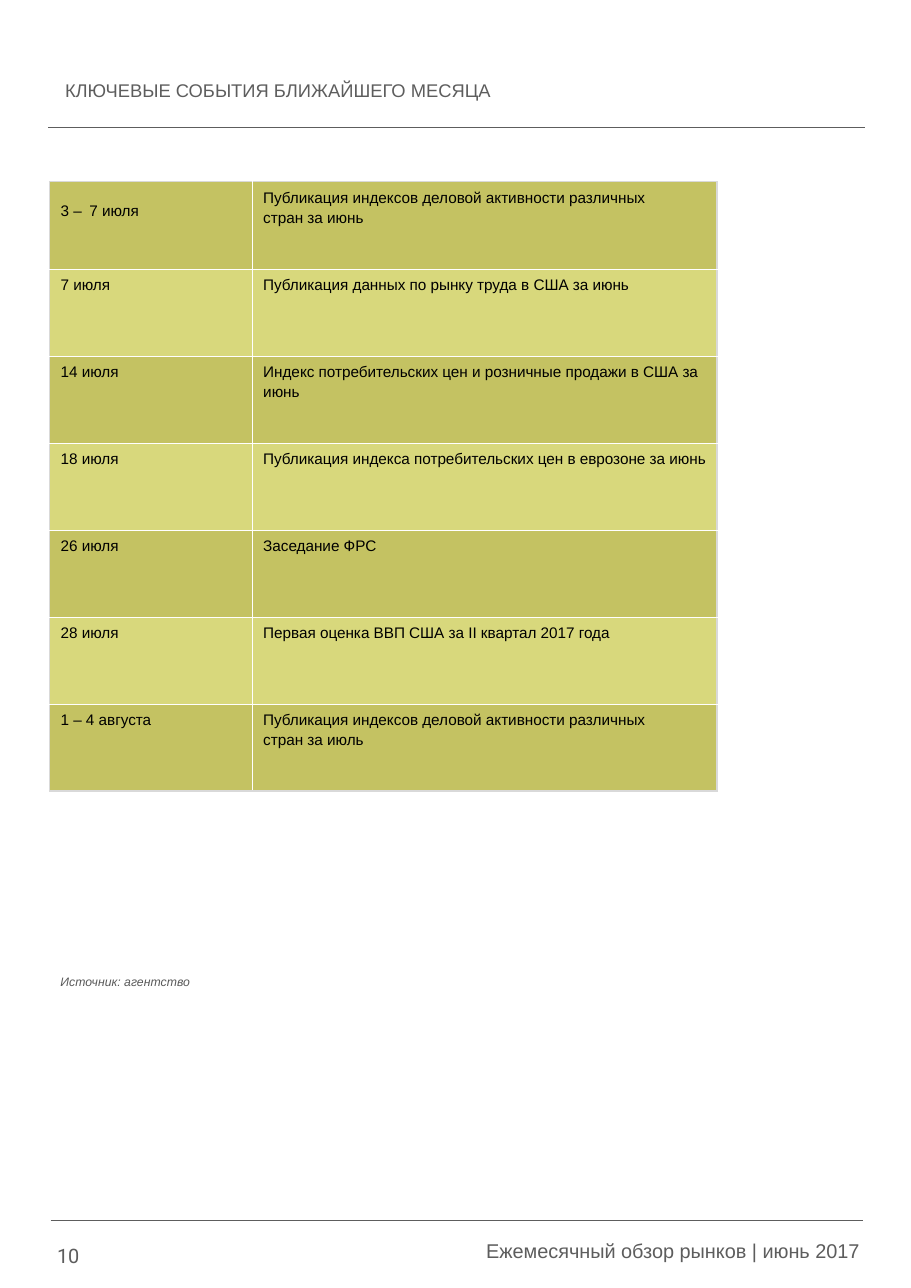
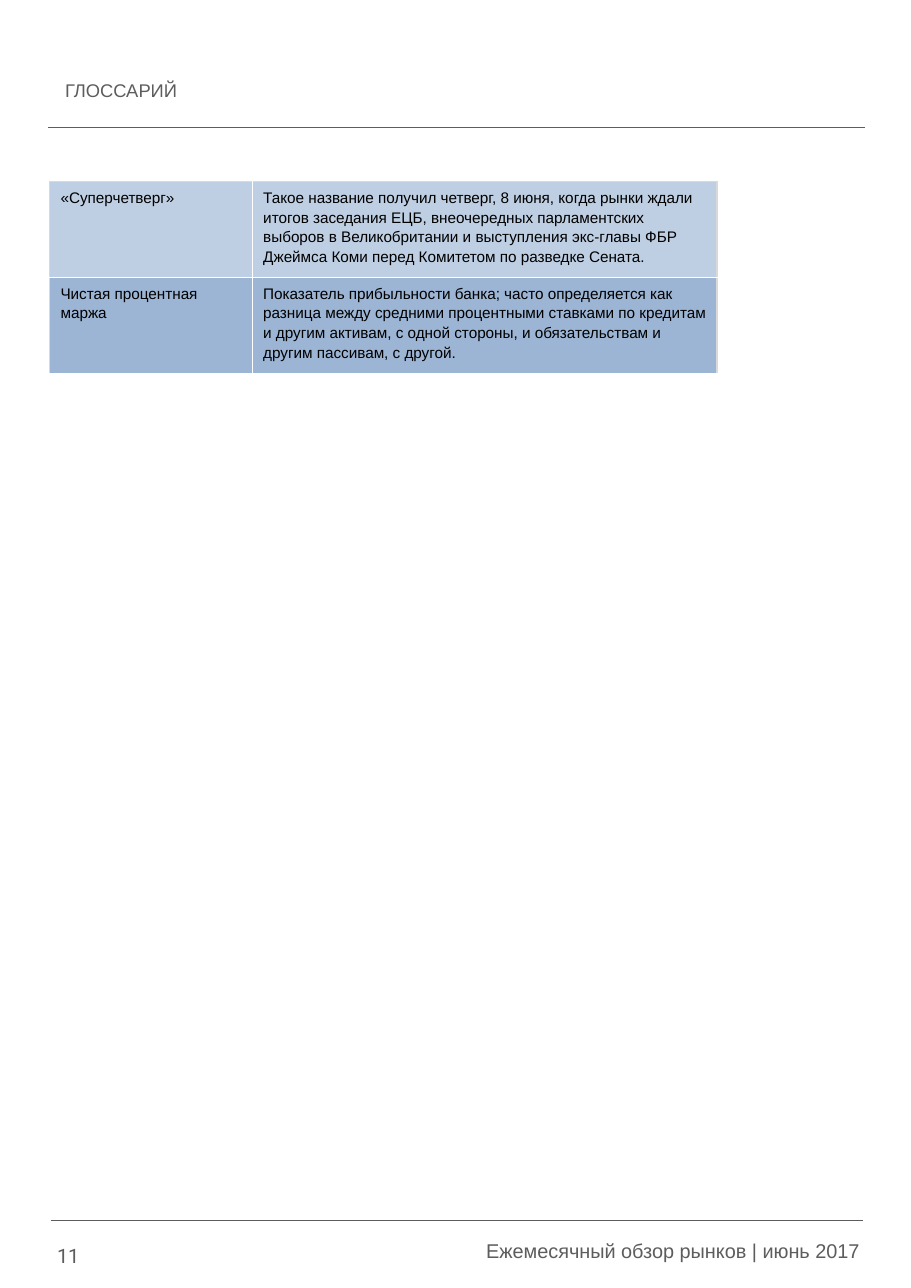
from lxml import etree
from pptx import Presentation
from pptx.dml.color import RGBColor
from pptx.enum.shapes import MSO_CONNECTOR
from pptx.enum.text import MSO_ANCHOR, PP_ALIGN
from pptx.oxml.ns import qn
from pptx.util import Pt

PX = 9144
STRAIGHT = MSO_CONNECTOR.STRAIGHT
TOP, MIDDLE = MSO_ANCHOR.TOP, MSO_ANCHOR.MIDDLE
LEFT, RIGHT = PP_ALIGN.LEFT, PP_ALIGN.RIGHT
TITLE_ONLY = 5

COLOURS = {
    "grey": "5D5D5D",
    "source": "595959",
    "text": "000000",
    "edge": "D9D9D9",
    "grid": "FFFFFF",
    "olive": "C4C262",
    "lime": "D8D87C",
    "pale blue": "BFCFE3",
    "blue": "9CB5D4",
}

TITLE = {"name": "Arial", "size": Pt(12), "bold": False}
FOOTER = {"name": "Arial", "size": Pt(13)}
PAGE_NUMBER = {"name": "Roboto", "size": Pt(13)}
SOURCE = {"name": "Arial", "size": Pt(8), "italic": True}
CELL = {"name": "Arial", "size": Pt(10)}

TITLE_BOX = (49, 47, 593, 69)
HEADER_RULE = (44, 116, 785)
FOOTER_RULE = (46, 1108, 783)
PAGE_BOX = (42, 1111, 83, 58)
FOOTER_BOX = (320, 1106, 460, 61)
SOURCE_BOX = (45, 880, 499, 23)
TABLE_ORIGIN = (45, 165)
COLUMNS = (184, 422)
ROW_HEIGHT = 79
GAP_SIZE = Pt(18)

EVENTS = [
    (("3 –", " ", "7 июля"), "Публикация индексов деловой активности различных\vстран за июнь"),
    (("7 июля",), "Публикация данных по рынку труда в США за июнь"),
    (("14 июля",), "Индекс потребительских цен и розничные продажи в США за июнь"),
    (("18 июля",), "Публикация индекса потребительских цен в еврозоне за июнь"),
    (("26 июля",), "Заседание ФРС"),
    (("28 июля",), "Первая оценка ВВП США за II квартал 2017 года"),
    (("1 – 4 августа",), "Публикация индексов деловой активности различных\vстран за июль"),
]
GLOSSARY = [
    (("«Суперчетверг»",),
     "Такое название получил четверг, 8 июня, когда рынки ждали итогов заседания ЕЦБ, "
     "внеочередных парламентских выборов в Великобритании и выступления экс-главы ФБР "
     "Джеймса Коми перед Комитетом по разведке Сената."),
    (("Чистая процентная маржа",),
     "Показатель прибыльности банка; часто определяется как разница между средними "
     "процентными ставками по кредитам и другим активам, с одной стороны, "
     "и обязательствам и другим пассивам, с другой."),
]


def px(*lengths):
    return [length * PX for length in lengths]


def rgb(colour):
    return RGBColor.from_string(COLOURS[colour])


def style(font, values, colour):
    for key, value in values.items():
        setattr(font, key, value)
    font.color.rgb = rgb(colour)


def fill_text(shape, text, values, colour="grey", anchor=MIDDLE, align=LEFT, spacing=1.0):
    frame = shape.text_frame
    frame.word_wrap = True
    frame.vertical_anchor = anchor
    line = frame.paragraphs[0]
    line.text = text
    line.alignment = align
    line.line_spacing = spacing
    style(line.font, values, colour)
    return frame


def add_text(slide, box, text, values, **options):
    return fill_text(slide.shapes.add_textbox(*px(*box)), text, values, **options)


def add_rule(slide, left, top, right):
    rule = slide.shapes.add_connector(STRAIGHT, *px(left, top, right, top))
    rule.line.color.rgb = rgb("grey")
    rule.line.width = Pt(0.75)
    etree.SubElement(rule._element.spPr, qn("a:effectLst"))


def add_border(cell, side, colour, width):
    edge = etree.SubElement(cell._tc.get_or_add_tcPr(), qn(f"a:ln{side}"), w=str(Pt(width)))
    solid = etree.SubElement(edge, qn("a:solidFill"))
    etree.SubElement(solid, qn("a:srgbClr"), val=COLOURS[colour])


def format_cell(cell, pieces, band, borders):
    for side, (colour, width) in borders.items():
        add_border(cell, side, colour, width)
    cell.fill.solid()
    cell.fill.fore_color.rgb = rgb(band)
    line = cell.text_frame.paragraphs[0]
    line.line_spacing = 1.15
    style(line.font, CELL, "text")
    if len(pieces) == 1:
        line.text = pieces[0]
        return
    for piece in pieces:
        run = line.add_run()
        run.text = piece
        if piece == " ":
            run.font.size = GAP_SIZE


def add_banded_table(slide, origin, entries, bands, closed):
    size = (sum(COLUMNS), ROW_HEIGHT * len(entries))
    table = slide.shapes.add_table(len(entries), len(COLUMNS), *px(*origin, *size)).table
    table.first_row = table.horz_banding = False
    for column, width in zip(table.columns, COLUMNS):
        column.width = width * PX
    edge, inner, thin = ("edge", 1), ("grid", 1), ("grid", 0.25)
    last = len(entries) - 1
    for row, (term, description) in enumerate(entries):
        for column, pieces in enumerate((term, (description,))):
            borders = {
                "L": inner if column else edge,
                "R": edge if column else inner,
                "T": thin if row else edge,
                "B": edge if closed and row == last else thin,
            }
            format_cell(table.cell(row, column), pieces, bands[row % 2], borders)


def add_page(deck, number, heading):
    slide = deck.slides.add_slide(deck.slide_layouts[TITLE_ONLY])
    title = slide.shapes.title
    title.left, title.top, title.width, title.height = px(*TITLE_BOX)
    fill_text(title, heading, TITLE)
    for rule in (HEADER_RULE, FOOTER_RULE):
        add_rule(slide, *rule)
    add_text(slide, PAGE_BOX, str(number), PAGE_NUMBER)
    footer = add_text(slide, FOOTER_BOX, "Ежемесячный обзор рынков | июнь 2017", FOOTER,
                      align=RIGHT, spacing=0.95)
    for side in ("left", "top", "right", "bottom"):
        setattr(footer, f"margin_{side}", 0)
    return slide


def main():
    deck = Presentation()
    deck.slide_width, deck.slide_height = px(827, 1169)

    events = add_page(deck, 10, "КЛЮЧЕВЫЕ СОБЫТИЯ БЛИЖАЙШЕГО МЕСЯЦА")
    add_banded_table(events, TABLE_ORIGIN, EVENTS, ("olive", "lime"), closed=True)
    add_text(events, SOURCE_BOX, "Источник: агентство", SOURCE,
             colour="source", anchor=TOP, spacing=0.95)

    glossary = add_page(deck, 11, "ГЛОССАРИЙ")
    add_banded_table(glossary, TABLE_ORIGIN, GLOSSARY, ("pale blue", "blue"), closed=False)

    deck.save("out.pptx")


if __name__ == "__main__":
    main()
